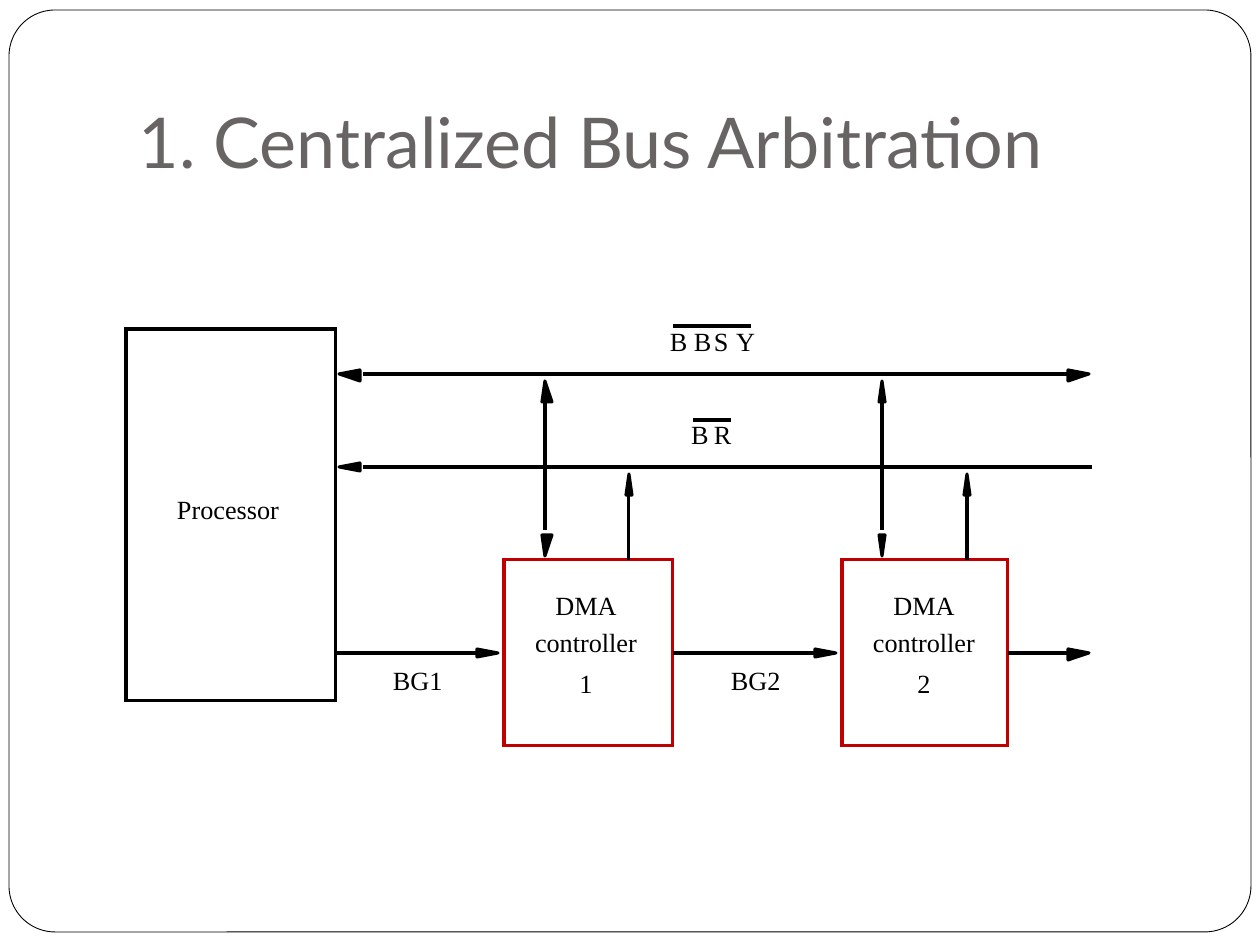
from pptx import Presentation
from pptx.dml.color import RGBColor
from pptx.enum.shapes import MSO_CONNECTOR, MSO_SHAPE
from pptx.enum.text import MSO_ANCHOR, PP_ALIGN
from pptx.oxml.ns import qn
from pptx.util import Pt
from lxml import etree

STRAIGHT = MSO_CONNECTOR.STRAIGHT
RECTANGLE, ROUNDED = MSO_SHAPE.RECTANGLE, MSO_SHAPE.ROUNDED_RECTANGLE
TOP, MIDDLE, BOTTOM = MSO_ANCHOR.TOP, MSO_ANCHOR.MIDDLE, MSO_ANCHOR.BOTTOM
CENTER, LEFT = PP_ALIGN.CENTER, PP_ALIGN.LEFT
RIGHT_SIDE = 3
PX = 914400 / 126
COLORS = {name: RGBColor.from_string(value) for name, value in {
    "paper": "FFFFFF", "ink": "000000", "title": "696464", "controller": "C00000",
}.items()}


def write(box, lines, size=15, font="Times New Roman", color="ink", align=CENTER,
          anchor=TOP, insets=(0, 0, 0, 0)):
    """Fill a box with (text, space before) lines; insets run left, top, right, bottom."""
    frame = box.text_frame
    frame.word_wrap = True
    frame.vertical_anchor = anchor
    (frame.margin_left, frame.margin_top,
     frame.margin_right, frame.margin_bottom) = [round(inset * PX) for inset in insets]
    for index, (text, before) in enumerate(lines):
        para = frame.paragraphs[0] if index == 0 else frame.add_paragraph()
        para.alignment = align
        para.space_before = Pt(before)
        span = para.add_run()
        span.text = text
        span.font.size = Pt(size)
        span.font.name = font
        span.font.color.rgb = COLORS[color]


def draw_line(x1, y1, x2, y2):
    line = page.shapes.add_connector(STRAIGHT, *[round(v * PX) for v in (x1, y1, x2, y2)])
    line.line.color.rgb = COLORS["ink"]
    line.line.width = Pt(1.75)
    etree.SubElement(line._element.spPr, qn("a:effectLst"))
    return line


deck = Presentation()
deck.slide_width = round(1260 * PX)
deck.slide_height = round(945 * PX)
page = deck.slides.add_slide(deck.slide_layouts[6])

# Page frame and block outlines
boxes = {}
for name, kind, place, color, width in [
    ("frame", ROUNDED, (9, 10, 1242, 922), "ink", 0.5),
    ("processor", RECTANGLE, (126, 329, 210, 372), "ink", 1.75),
    ("dma1", RECTANGLE, (504, 560, 169, 186), "controller", 1.75),
    ("dma2", RECTANGLE, (842, 560, 166, 186), "controller", 1.75),
]:
    box = page.shapes.add_shape(kind, *[round(v * PX) for v in place])
    box.shadow.inherit = False
    box.fill.background()
    box.line.color.rgb = COLORS[color]
    box.line.width = Pt(width)
    etree.SubElement(box.line._get_or_add_ln(), qn("a:miter"), lim="800000")
    boxes[name] = box
boxes["frame"].adjustments[0] = 0.05
boxes["frame"].fill.solid()
boxes["frame"].fill.fore_color.rgb = COLORS["paper"]

write(boxes["processor"], [("Processor", 0)], anchor=MIDDLE, insets=(0, 0, 6, 12))
for number, right_inset in [(1, 5), (2, 2)]:
    write(boxes[f"dma{number}"], [("DMA", 0), ("controller", 3.5), (str(number), 5.5)],
          insets=(0, 29, right_inset, 0))

# Title and grant names
for text, place, style in [
    ("1. Centralized Bus Arbitration", (126, 38, 1071, 157),
     dict(size=40, font="Lato", color="title", anchor=BOTTOM, insets=(13, 6, 13, 13))),
    ("BG1", (393, 664, 50, 31), {}),
    ("BG2", (731, 664, 50, 31), {}),
]:
    label = page.shapes.add_textbox(*[round(v * PX) for v in place])
    write(label, [(text, 0)], align=LEFT, **style)

# Active-low signal names, set letter by letter under an overline
for name, lefts, top, (bar_left, bar_right, bar_y) in [
    ("BBSY", (670, 694, 714, 736), 325, (673, 751, 326)),
    ("BR", (691, 714), 418, (693, 731, 420)),
]:
    for letter, left in zip(name, lefts):
        label = page.shapes.add_textbox(*[round(v * PX) for v in (left, top, 19, 31)])
        write(label, [(letter, 0)], align=LEFT)
    draw_line(bar_right, bar_y, bar_left, bar_y)

# Shared bus lines and the bus grant chain
draw_line(363, 374, 1068, 374)
draw_line(363, 467, 1092, 467)
draw_line(478, 653, 336, 653)
for source, start, end in [("dma1", 673, 815), ("dma2", 1008, 1068)]:
    grant = draw_line(start, 653, end, 653)
    grant.begin_connect(boxes[source], RIGHT_SIDE)

# Arrowheads: tip, pointing direction, reach of the barbs before and after the axis
heads = [
    (1089, 374, 1, 0, 4, 7), (339, 374, -1, 0, 4, 7), (339, 467, -1, 0, 4, 4),
    (498, 653, 1, 0, 4, 4), (836, 653, 1, 0, 4, 4), (1089, 653, 1, 0, 4, 7),
]

# Taps from each controller to the bus lines
for busy_x, request_x, after in [(545, 629, 7), (882, 967, 3)]:
    draw_line(busy_x, 403, busy_x, 530)
    draw_line(request_x, 496, request_x, 560)
    heads += [(busy_x, 381, 0, -1, 3, after), (busy_x, 556, 0, 1, 3, after),
              (request_x, 474, 0, -1, 3, 3)]

HEAD_LENGTH = 21
for x, y, dx, dy, before, after in heads:
    base_x, base_y = x - HEAD_LENGTH * dx, y - HEAD_LENGTH * dy
    across_x, across_y = abs(dy), abs(dx)
    outline = page.shapes.build_freeform(
        base_x - before * across_x, base_y - before * across_y, scale=PX)
    outline.add_line_segments(
        [(x, y), (base_x + after * across_x, base_y + after * across_y)], close=True)
    head = outline.convert_to_shape()
    head.shadow.inherit = False
    head.fill.solid()
    head.fill.fore_color.rgb = COLORS["ink"]
    head.line.color.rgb = COLORS["ink"]
    head.line.width = Pt(1.75)

deck.save("out.pptx")
